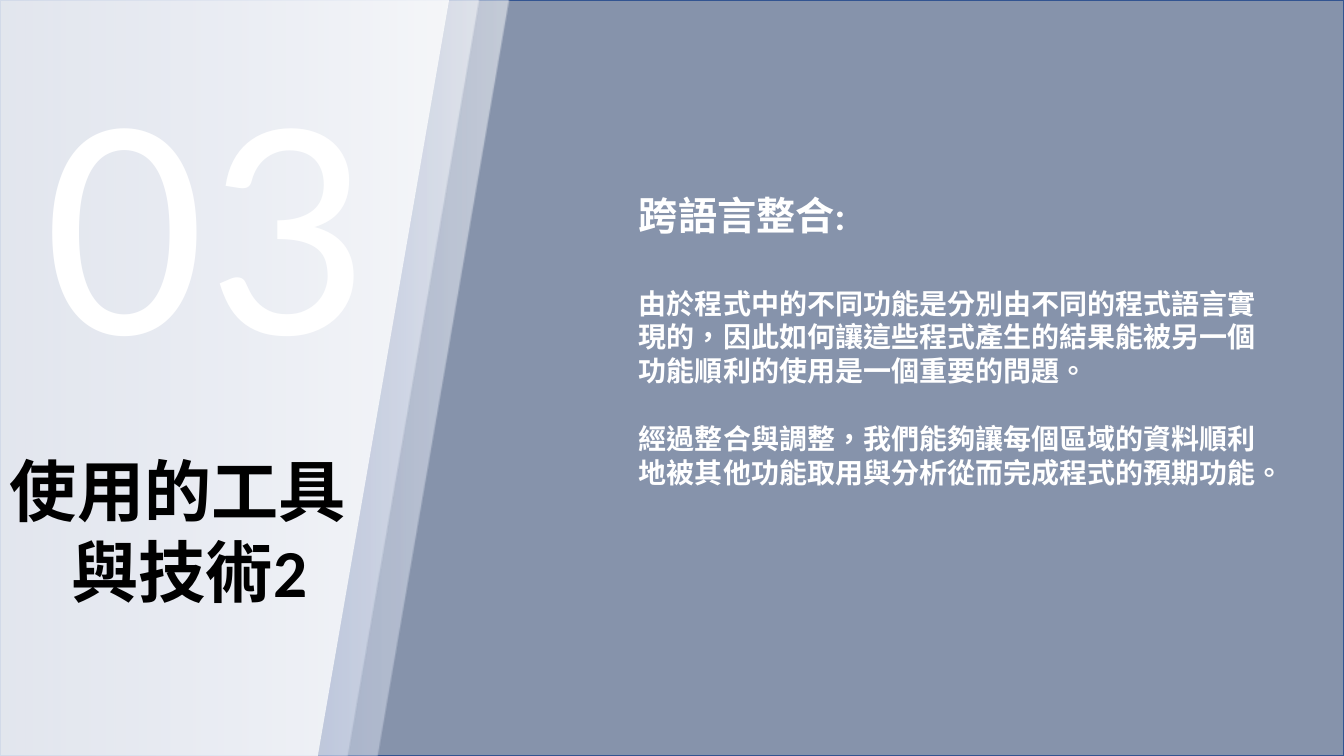
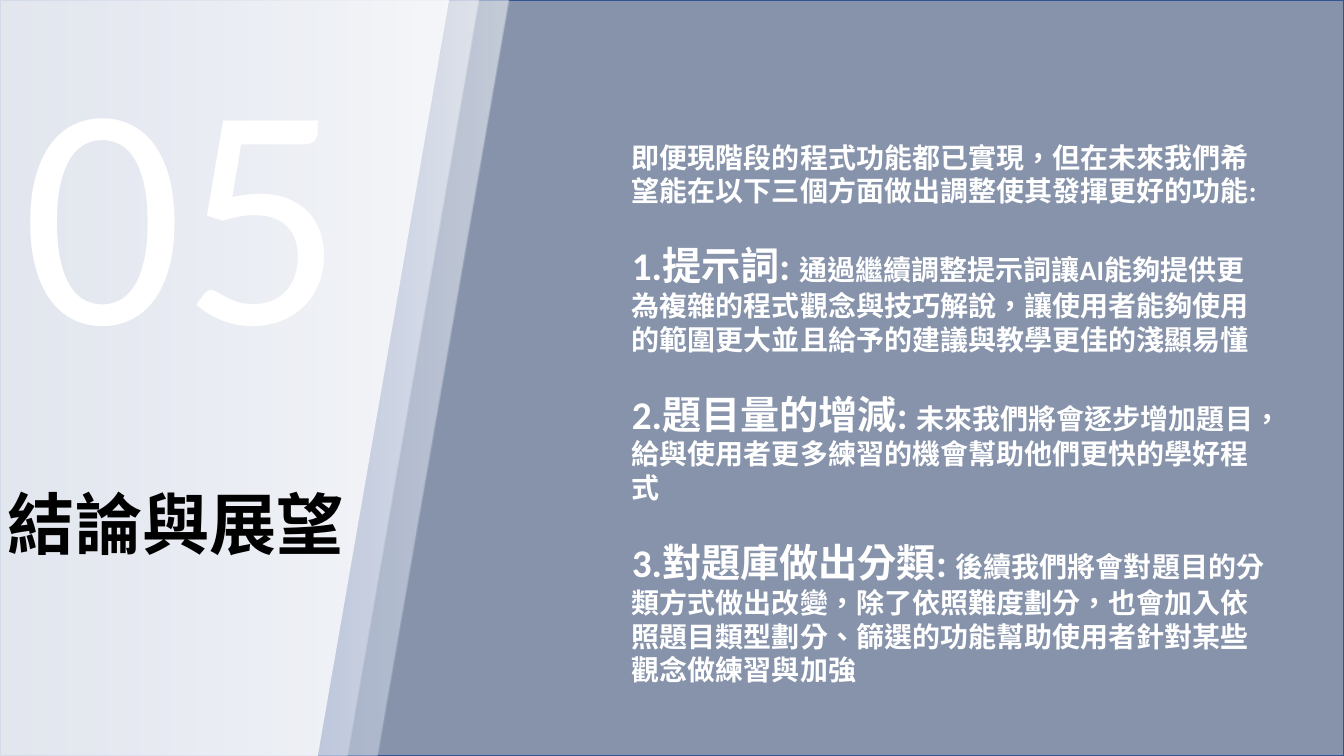
from dataclasses import dataclass

from lxml import etree
from pptx import Presentation
from pptx.dml.color import RGBColor
from pptx.enum.lang import MSO_LANGUAGE_ID
from pptx.enum.shapes import MSO_SHAPE
from pptx.enum.text import MSO_AUTO_SIZE
from pptx.oxml import parse_xml
from pptx.oxml.ns import nsdecls, qn
from pptx.util import Pt

RECTANGLE = MSO_SHAPE.RECTANGLE
SLANTED = MSO_SHAPE.FLOWCHART_DATA
FIT_SHAPE = MSO_AUTO_SIZE.SHAPE_TO_FIT_TEXT
CHINESE = MSO_LANGUAGE_ID.TRADITIONAL_CHINESE

COLORS = {
    "navy": "203864",
    "border": "325491",
    "glow": "92AAEA",
    "white": "FFFFFF",
    "black": "000000",
}
WIDTH, HEIGHT = 960, 540
LATIN, HEADING_FONT = "Calibri", "Arial"
NUMBER_SIZE, TITLE_SIZE, LEAD_SIZE, BODY_SIZE = 226.5, 48, 28, 20
LEAD_GAP, BODY_GAP = 34.2, 24.4

# Slanted bands: each one lies a step further left
BAND_LEFT, BAND_STEP = -201, -21.2
BAND_TOP, BAND_WIDTH, BAND_HEIGHT = -88.6, 579.6, 667.4


@dataclass(frozen=True)
class Span:
    text: str
    size: float | None = None
    font: str | None = None


@dataclass(frozen=True)
class Line:
    spans: tuple[Span, ...]
    size: float = BODY_SIZE
    font: str = LATIN
    color: str = "white"
    bold: bool = True
    before: float = 0
    indent: float = 0


@dataclass(frozen=True)
class Block:
    left: float
    top: float
    width: float
    height: float
    lines: tuple[Line, ...]


@dataclass(frozen=True)
class Section:
    number: Block
    title: Block
    body: Block


def rgb(name: str) -> RGBColor:
    return RGBColor.from_string(COLORS[name])


def fill_solid(shape, color: str, opacity: int) -> None:
    shape.fill.solid()
    shape.fill.fore_color.rgb = rgb(color)
    tint = shape.fill._xPr.find(qn("a:solidFill"))[0]
    etree.SubElement(tint, qn("a:alpha")).set("val", str(opacity * 1000))


def fill_glow(shape) -> None:
    stops = "".join(
        f'<a:gs pos="{pos * 1000}"><a:srgbClr val="{COLORS[color]}">'
        f'<a:alpha val="{opacity * 1000}"/></a:srgbClr></a:gs>'
        for pos, color, opacity in ((0, "glow", 0), (18, "glow", 0), (100, "white", 55))
    )
    gradient = parse_xml(
        f'<a:gradFill {nsdecls("a")} rotWithShape="1"><a:gsLst>{stops}</a:gsLst>'
        '<a:lin ang="0" scaled="0"/></a:gradFill>'
    )
    shape._element.spPr.find(qn("a:prstGeom")).addnext(gradient)


def draw_backdrop(slide) -> None:
    backdrop = slide.shapes.add_shape(RECTANGLE, 0, 0, Pt(WIDTH), Pt(HEIGHT))
    backdrop.shadow.inherit = False
    fill_solid(backdrop, "navy", 54)
    backdrop.line.color.rgb = rgb("border")
    backdrop.line.width = Pt(1)
    for index in range(3):
        band = slide.shapes.add_shape(
            SLANTED, Pt(BAND_LEFT + index * BAND_STEP), Pt(BAND_TOP),
            Pt(BAND_WIDTH), Pt(BAND_HEIGHT))
        band.shadow.inherit = False
        band.line.fill.background()
        if index < 2:
            fill_glow(band)
        else:
            fill_solid(band, "white", 75)


def write_line(paragraph, line: Line) -> None:
    paragraph.space_before = Pt(line.before)
    font = paragraph.font
    font.name, font.size, font.bold = line.font, Pt(line.size), line.bold
    font.color.rgb = rgb(line.color)
    font.language_id = CHINESE
    properties = paragraph._p.get_or_add_pPr()
    properties.set("marL", str(Pt(line.indent)))
    properties.set("hangingPunct", "1")
    for span in line.spans:
        run = paragraph.add_run()
        run.text = span.text
        if span.size:
            run.font.size = Pt(span.size)
        if span.font:
            run.font.name = span.font


def draw_block(slide, block: Block) -> None:
    box = slide.shapes.add_textbox(
        Pt(block.left), Pt(block.top), Pt(block.width), Pt(block.height))
    frame = box.text_frame
    frame.word_wrap = True
    frame.auto_size = FIT_SHAPE
    for index, line in enumerate(block.lines):
        paragraph = frame.add_paragraph() if index else frame.paragraphs[0]
        write_line(paragraph, line)


def number(text: str, left: float, top: float) -> Block:
    digits = Line((Span(text),), NUMBER_SIZE, bold=False)
    return Block(left - 7.2, top - 3.6, 260, 284, (digits,))


def title_line(*spans: Span, font: str = LATIN, indent: float = 0) -> Line:
    return Line(spans, TITLE_SIZE, font, "black", indent=indent)


def plan(lead: str, detail: str) -> Line:
    return Line((Span(lead, LEAD_SIZE), Span(detail)), before=BODY_GAP)


SECTIONS = (
    Section(
        number("03", 32.2, 12.5),
        Block(0, 317.5, 261.4, 123.8, (
            title_line(Span("使用的工具"), font=HEADING_FONT),
            title_line(Span("與技術", font=HEADING_FONT), Span("2"), indent=44),
        )),
        Block(449.3, 133.2, 466.6, 220.3, (
            Line((Span("跨語言整合:"),), LEAD_SIZE),
            Line((Span("由於程式中的不同功能是分別由不同的程式語言實現的，因此如何讓這些程式"
                       "產生的結果能被另一個功能順利的使用是一個重要的問題。"),),
                 before=LEAD_GAP),
            Line((Span("經過整合與調整，我們能夠讓每個區域的資料順利地被其他功能取用與分析"
                       "從而完成程式的預期功能。"),), before=BODY_GAP),
        )),
    ),
    Section(
        number("05", 16, 5.3),
        Block(-1.4, 341.3, 259.9, 65.5, (title_line(Span("結論與展望")),)),
        Block(444.2, 96.5, 466.6, 399.6, (
            Line((Span("即便現階段的程式功能都已實現，但在未來我們希望能在以下三個方面做出"
                       "調整使其發揮更好的功能:"),)),
            plan("1.提示詞: ",
                 "通過繼續調整提示詞讓AI能夠提供更為複雜的程式觀念與技巧解說，讓使用者"
                 "能夠使用的範圍更大並且給予的建議與教學更佳的淺顯易懂"),
            plan("2.題目量的增減: ",
                 "未來我們將會逐步增加題目，給與使用者更多練習的機會幫助他們更快的學好程式"),
            plan("3.對題庫做出分類: ",
                 "後續我們將會對題目的分類方式做出改變，除了依照難度劃分，也會加入依照"
                 "題目類型劃分、篩選的功能幫助使用者針對某些觀念做練習與加強"),
        )),
    ),
)


def main() -> None:
    deck = Presentation()
    deck.slide_width, deck.slide_height = Pt(WIDTH), Pt(HEIGHT)
    blank = deck.slide_layouts[6]
    for section in SECTIONS:
        slide = deck.slides.add_slide(blank)
        draw_backdrop(slide)
        for block in (section.title, section.body, section.number):
            draw_block(slide, block)
    deck.save("out.pptx")


if __name__ == "__main__":
    main()
